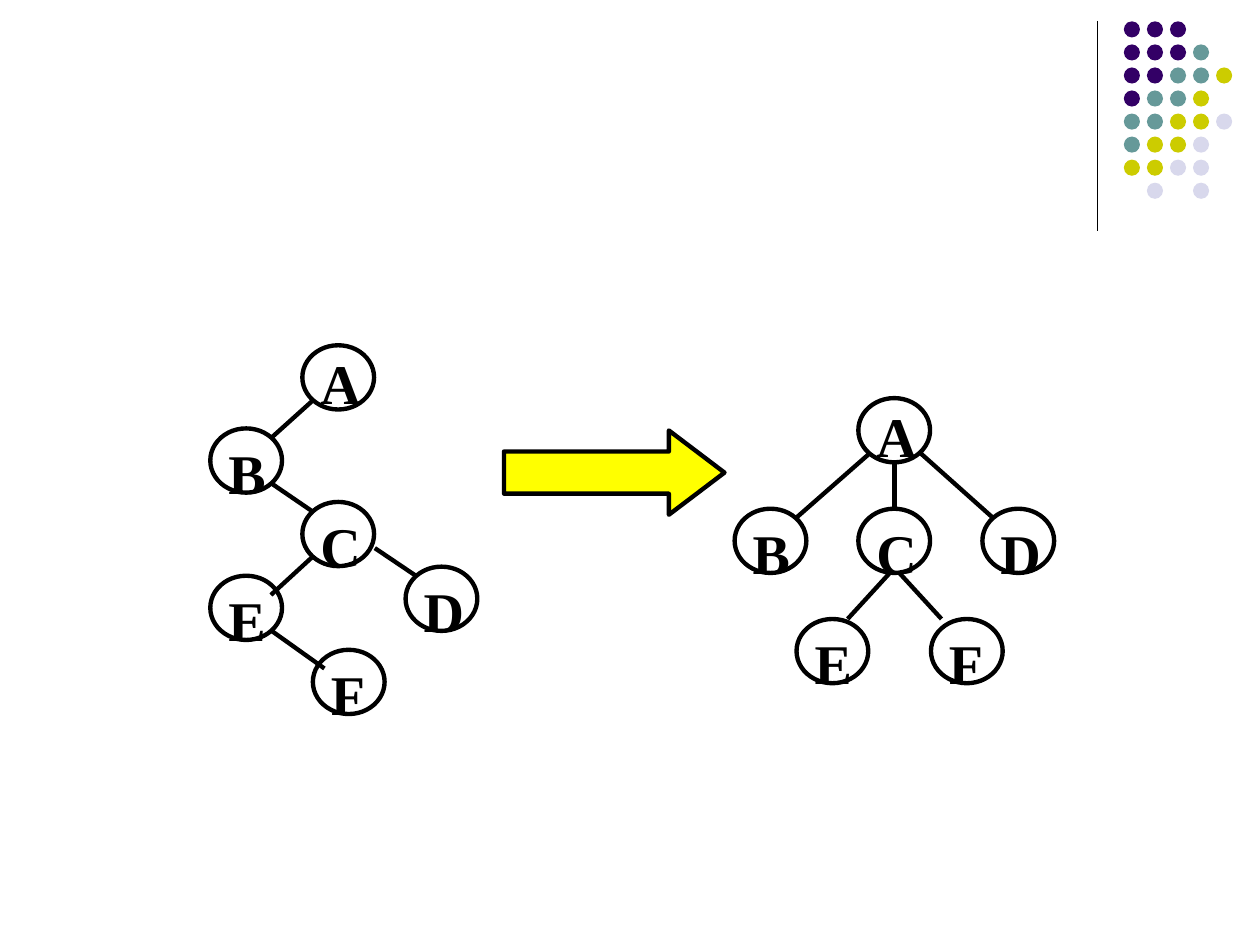
from dataclasses import dataclass

from lxml import etree
from pptx import Presentation
from pptx.dml.color import RGBColor
from pptx.enum.shapes import MSO_CONNECTOR, MSO_SHAPE
from pptx.oxml.ns import qn
from pptx.shapes.autoshape import Shape
from pptx.shapes.shapetree import GroupShapes, SlideShapes
from pptx.util import Pt

OVAL = MSO_SHAPE.OVAL
RIGHT_ARROW = MSO_SHAPE.RIGHT_ARROW
STRAIGHT = MSO_CONNECTOR.STRAIGHT

BLACK = RGBColor(0x00, 0x00, 0x00)
YELLOW = RGBColor(0xFF, 0xFF, 0x00)
PURPLE = RGBColor(0x33, 0x00, 0x66)
TEAL = RGBColor(0x66, 0x99, 0x99)
OLIVE = RGBColor(0xCC, 0xCC, 0x00)
LAVENDER = RGBColor(0xD8, 0xD8, 0xEC)

FONT_NAME = "Times New Roman"
FONT_SIZE = 32
STROKE = 2.5
NODE_WIDTH, NODE_HEIGHT = 41, 36.7
LABEL_SHIFT_X, LABEL_SHIFT_Y = 3.2, -5.4
DOT_LEFT, DOT_TOP, DOT_PITCH, DOT_SIZE = 642.2, 12.2, 13.17, 9.2
DOT_COLORS = {"P": PURPLE, "T": TEAL, "O": OLIVE, "L": LAVENDER}
DOT_ROWS = ("PPP", "PPPT", "PPTTO", "PTTO", "TTOOL", "TOOL", "OOLL", " L L")


@dataclass(frozen=True)
class Node:
    letter: str
    left: float
    top: float
    spacing: float = 1.1


@dataclass(frozen=True)
class Edge:
    x1: float
    y1: float
    x2: float
    y2: float


@dataclass(frozen=True)
class Tree:
    nodes: tuple[Node, ...]
    edges: tuple[Edge, ...]


BINARY_TREE = Tree(
    nodes=(
        Node("A", 172.8, 197.3, 1.0),
        Node("C", 172.8, 286.8),
        Node("B", 120.2, 244.8),
        Node("F", 178.8, 371.3),
        Node("D", 231.8, 323.8),
        Node("E", 120.2, 329),
    ),
    edges=(
        Edge(178.6, 229, 155.5, 249.8),
        Edge(155.5, 276.5, 178.6, 292.3),
        Edge(178.6, 318.2, 154.8, 340),
        Edge(155.5, 360.7, 185.4, 382),
        Edge(214.2, 313.2, 237.6, 329),
    ),
)
GENERAL_TREE = Tree(
    nodes=(
        Node("A", 490.5, 227.5, 1.0),
        Node("C", 490.5, 290.7),
        Node("B", 419.8, 290.7),
        Node("F", 532, 353.7),
        Node("D", 561.4, 290.7),
        Node("E", 455.2, 353.7),
    ),
    edges=(
        Edge(511.2, 264.2, 511.2, 290.2),
        Edge(496.8, 259.2, 455, 295.9),
        Edge(526.3, 259.2, 567.4, 295.9),
        Edge(508.3, 327.6, 484.4, 353.7),
        Edge(514.1, 327.6, 538, 353.7),
    ),
)


def add_line(shapes: SlideShapes | GroupShapes, edge: Edge, width: float) -> None:
    connector = shapes.add_connector(
        STRAIGHT, Pt(edge.x1), Pt(edge.y1), Pt(edge.x2), Pt(edge.y2)
    )
    connector.line.color.rgb = BLACK
    connector.line.width = Pt(width)
    properties = connector._element.find(qn("p:spPr"))
    etree.SubElement(properties, qn("a:effectLst"))


def outline(shape: Shape) -> None:
    shape.shadow.inherit = False
    shape.line.color.rgb = BLACK
    shape.line.width = Pt(STROKE)


def add_node(shapes: GroupShapes, node: Node) -> None:
    circle = shapes.add_shape(
        OVAL, Pt(node.left), Pt(node.top), Pt(NODE_WIDTH), Pt(NODE_HEIGHT)
    )
    circle.fill.background()
    outline(circle)

    label = shapes.add_textbox(
        Pt(node.left + LABEL_SHIFT_X),
        Pt(node.top + LABEL_SHIFT_Y),
        Pt(NODE_WIDTH),
        Pt(9 + 37 * node.spacing),
    )
    frame = label.text_frame
    frame.word_wrap = True
    frame.margin_left = frame.margin_right = frame.margin_top = Pt(7.2)
    frame.margin_bottom = Pt(0)
    paragraph = frame.paragraphs[0]
    paragraph.text = node.letter
    paragraph.line_spacing = node.spacing
    paragraph.font.name = FONT_NAME
    paragraph.font.size = Pt(FONT_SIZE)
    paragraph.font.bold = True
    paragraph.font.color.rgb = BLACK


def add_tree(shapes: SlideShapes, tree: Tree) -> None:
    group = shapes.add_group_shape()
    for node in tree.nodes:
        add_node(group.shapes, node)
    for edge in tree.edges:
        add_line(group.shapes, edge, STROKE)


def add_dots(shapes: SlideShapes) -> None:
    group = shapes.add_group_shape()
    for row, codes in enumerate(DOT_ROWS):
        for column, code in enumerate(codes):
            if code not in DOT_COLORS:
                continue
            dot = group.shapes.add_shape(
                OVAL,
                Pt(DOT_LEFT + column * DOT_PITCH),
                Pt(DOT_TOP + row * DOT_PITCH),
                Pt(DOT_SIZE),
                Pt(DOT_SIZE),
            )
            dot.shadow.inherit = False
            dot.fill.solid()
            dot.fill.fore_color.rgb = DOT_COLORS[code]
            dot.line.fill.background()


def add_arrow(shapes: SlideShapes) -> None:
    arrow = shapes.add_shape(RIGHT_ARROW, Pt(288), Pt(246), Pt(126), Pt(48.2))
    arrow.adjustments[0] = 0.5
    arrow.adjustments[1] = 0.66
    arrow.fill.solid()
    arrow.fill.fore_color.rgb = YELLOW
    outline(arrow)


def main() -> None:
    presentation = Presentation()
    presentation.slide_width = Pt(720)
    presentation.slide_height = Pt(540)
    slide = presentation.slides.add_slide(presentation.slide_layouts[6])
    add_line(slide.shapes, Edge(627, 12, 627, 132), 0.75)
    add_dots(slide.shapes)
    add_tree(slide.shapes, GENERAL_TREE)
    add_tree(slide.shapes, BINARY_TREE)
    add_arrow(slide.shapes)
    presentation.save("out.pptx")


if __name__ == "__main__":
    main()
